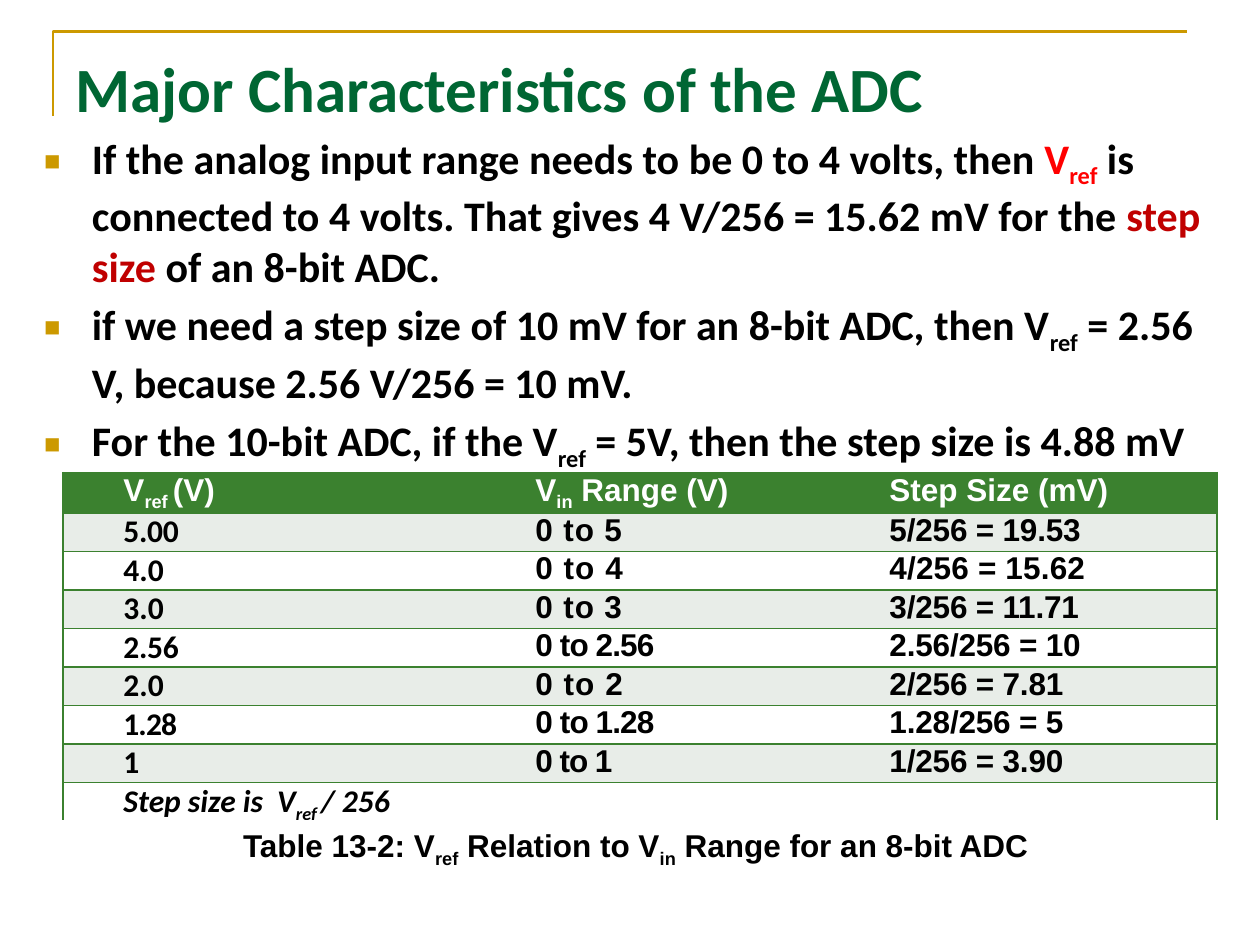
from lxml import etree
from pptx import Presentation
from pptx.dml.color import RGBColor
from pptx.enum import shapes, text
from pptx.oxml import ns
from pptx.util import Inches, Pt

GREEN, GOLD, BLACK, WHITE, BAND = "3B812F", "CC9900", "000000", "FFFFFF", "E8EDE8"
RED, DARK_RED = "FF0000", "C00000"
SUB = {"sub": True}

TITLE = "Major Characteristics of the ADC"
BULLETS = [
    [("If the analog input range needs to be 0 to 4 volts, then ", {}),
     ("V", {"color": RED}), ("ref", {"color": RED, "sub": True}),
     (" is connected to 4 volts. That gives 4 V/256 = 15.62 mV for the ", {}),
     ("step size", {"color": DARK_RED}), (" of an 8-bit ADC.", {})],
    [("if we need a step size of 10 mV for an 8-bit ADC, then V", {}), ("ref", SUB),
     (" = 2.56 V, because 2.56 V/256 = 10 mV.", {})],
    [("For the 10-bit ADC, if the V", {}), ("ref", SUB),
     (" = 5V, then the step size is 4.88 mV", {})],
]
HEADER = [
    [("V", {}), ("ref ", SUB), ("(V)", {})],
    [("V", {}), ("in", SUB), (" Range (V)", {})],
    [("Step Size (mV)", {})],
]
ROWS = [
    (("5.00", -0.2), ("0 to 5", 0.5), ("5/256 = 19.53", -0.1)),
    (("4.0", 0), ("0 to 4", 0.6), ("4/256 = 15.62", 0.1)),
    (("3.0", 0), ("0 to 3", 0.5), ("3/256 = 11.71", -0.1)),
    (("2.56", -0.2), ("0 to 2.56", -0.5), ("2.56/256 = 10", -0.1)),
    (("2.0", 0), ("0 to 2", 0.6), ("2/256 = 7.81", -0.1)),
    (("1.28", -0.5), ("0 to 1.28", -0.5), ("1.28/256 = 5", -0.1)),
    (("1", 0), ("0 to 1", -0.6), ("1/256 = 3.90", -0.1)),
]
FORMULA = [("Step size is  V", {}), ("ref ", SUB), ("/ 256", {})]
CAPTION = [("Table 13-2: V", {}), ("ref", SUB), (" Relation to V", {}), ("in", SUB),
           (" Range for an 8-bit ADC", {})]
COL_WIDTHS = (3.56, 2.71, 2.89)
COL_INDENTS = (0.45, 0.16, 0.26)
COL_FONTS = ("Calibri", "Arial", "Arial")
ROW_HEIGHT = 0.3


def rgb(value):
    return RGBColor.from_string(value)


def add(parent, tag, **attrs):
    return etree.SubElement(parent, ns.qn(tag), attrs)


def place(sp, left, top, width, height):
    sp.left, sp.top, sp.width, sp.height = map(Inches, (left, top, width, height))


def write(p, runs, size, font, color=BLACK, italic=None):
    for words, style in runs:
        r = p.add_run()
        r.text = words
        f = r.font
        f.size, f.name, f.bold, f.italic = Pt(size), font, True, italic
        f.color.rgb = rgb(style.get("color", color))
        rPr = r._r.get_or_add_rPr()
        if style.get("sub"):
            rPr.set("baseline", "-25000")
        if style.get("spacing"):
            rPr.set("spc", str(round(style["spacing"] * 100)))


def indent(p, left, first=0):
    pPr = p._p.get_or_add_pPr()
    pPr.set("marL", str(Inches(left)))
    pPr.set("indent", str(Inches(first)))
    return pPr


def border(cell, sides):
    tcPr = cell._tc.get_or_add_tcPr()
    for side in "LRTB":
        if side in sides:
            ln = add(tcPr, f"a:ln{side}", w=str(Pt(1)))
            add(add(ln, "a:solidFill"), "a:srgbClr", val=GREEN)
        else:
            add(add(tcPr, f"a:ln{side}"), "a:noFill")


def add_frame(s):
    builder = s.shapes.build_freeform(Inches(0.42), Inches(0.92))
    builder.add_line_segments([(Inches(0.42), Inches(0.25)), (Inches(9.42), Inches(0.25))],
                              close=False)
    sp = builder.convert_to_shape()
    sp.shadow.inherit = False
    sp.fill.background()
    sp.line.color.rgb, sp.line.width = rgb(GOLD), Pt(1.5)
    s.shapes.element.insert(2, sp.element)


def add_text(s):
    title, body = s.placeholders
    place(title, 0.5, 0.3, 9, 0.78)
    p = title.text_frame.paragraphs[0]
    p.alignment = text.PP_ALIGN.LEFT
    write(p, [(TITLE, {})], 36, "Calibri", "006633")
    place(body, 0.25, 1, 9.42, 2.75)
    tf = body.text_frame
    tf.auto_size = text.MSO_AUTO_SIZE.NONE
    for i, runs in enumerate(BULLETS):
        p = tf.add_paragraph() if i else tf.paragraphs[0]
        pPr = indent(p, 0.38, -0.38)
        add(add(pPr, "a:buClr"), "a:srgbClr", val=GOLD)
        add(pPr, "a:buSzPct", val="65000")
        add(pPr, "a:buFont", typeface="Arial")
        add(pPr, "a:buChar", char="■")
        write(p, runs, 24, "Calibri")


def add_table(s):
    body = [[[(words, {"spacing": gap})] for words, gap in row] for row in ROWS]
    grid = [HEADER, *body, [FORMULA, [], []]]
    last = len(grid) - 1
    table = s.shapes.add_table(len(grid), 3, Inches(0.5), Inches(3.75), Inches(sum(COL_WIDTHS)),
                               Inches(ROW_HEIGHT * len(grid))).table
    table.first_row = table.horz_banding = False
    for column, width in zip(table.columns, COL_WIDTHS):
        column.width = Inches(width)
    for i, row in enumerate(grid):
        for j, runs in enumerate(row):
            cell = table.cell(i, j)
            cell.margin_left = cell.margin_right = Inches(0.03)
            cell.margin_top = cell.margin_bottom = 0
            border(cell, "TB" + ("L", "", "R")[j] + ("R" if i == last else ""))
            cell.fill.solid()
            cell.fill.fore_color.rgb = rgb(GREEN if i == 0 else BAND if i % 2 else WHITE)
            p = cell.text_frame.paragraphs[0]
            indent(p, COL_INDENTS[j])
            write(p, runs, 18, COL_FONTS[j] if i else "Arial", BLACK if i else WHITE,
                  True if i == last else None)
    table.cell(last, 0).merge(table.cell(last, 2))


def add_caption(s):
    sp = s.shapes.add_shape(shapes.MSO_SHAPE.RECTANGLE, Inches(0.42), Inches(6.51),
                            Inches(9.25), Inches(0.4))
    sp.shadow.inherit = False
    sp.fill.solid()
    sp.fill.fore_color.rgb = rgb(WHITE)
    sp.line.fill.background()
    tf = sp.text_frame
    tf.word_wrap, tf.auto_size = True, text.MSO_AUTO_SIZE.SHAPE_TO_FIT_TEXT
    tf.vertical_anchor = text.MSO_ANCHOR.TOP
    p = tf.paragraphs[0]
    p.alignment = text.PP_ALIGN.CENTER
    write(p, CAPTION, 18, "Arial")


def main():
    prs = Presentation()
    prs.slide_width, prs.slide_height = Inches(10), Inches(7.5)
    s = prs.slides.add_slide(prs.slide_layouts[1])
    add_frame(s)
    add_text(s)
    add_table(s)
    add_caption(s)
    prs.save("out.pptx")


if __name__ == "__main__":
    main()
